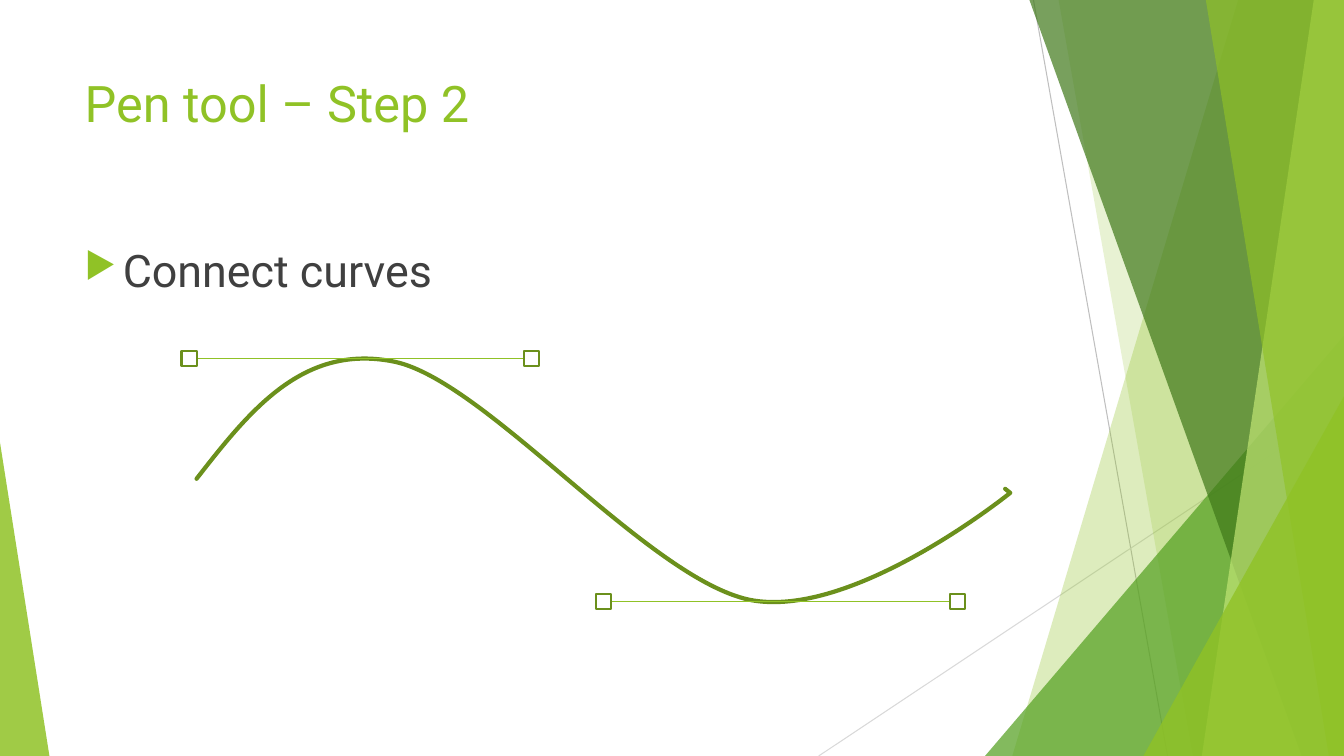
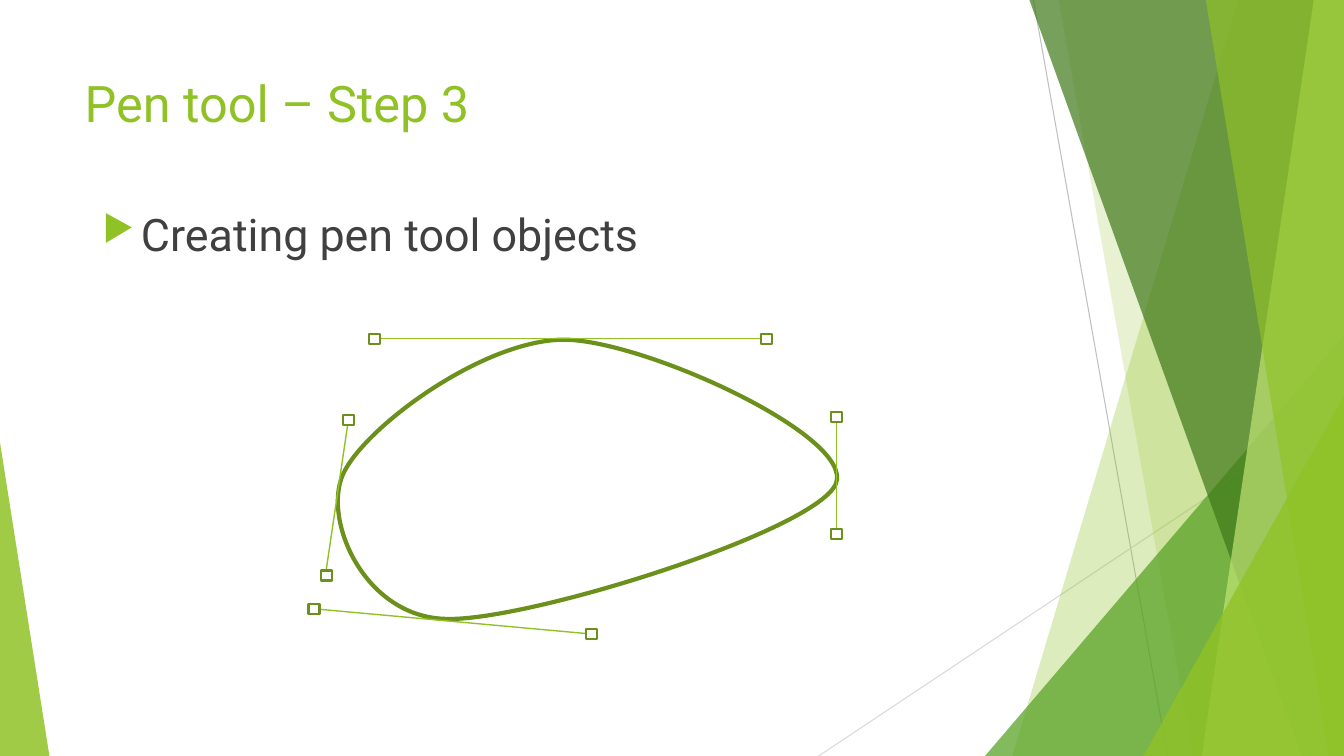
from dataclasses import dataclass
from typing import Optional

from pptx import Presentation
from pptx.dml.color import RGBColor
from pptx.enum.shapes import MSO_CONNECTOR as CONN, MSO_SHAPE as SHAPE
from pptx.enum.text import MSO_ANCHOR as ANCHOR, MSO_AUTO_SIZE as AUTO, PP_ALIGN as ALIGN
from pptx.oxml.ns import qn
from pptx.oxml.xmlchemy import OxmlElement
from pptx.util import Inches, Pt

W, H = 13.33, 7.5
FONT = "Roboto"
LIME, GREEN, FOREST, PALE = "90C226", "54A021", "3F7819", "C0E474"
OLIVE, WHITE, INK = "6B901C", "FFFFFF", "404040"
TOP, LEFT, BOTTOM, RIGHT = range(4)

Point = tuple[float, float]


@dataclass(frozen=True)
class Ray:
    start: Point
    end: Point
    color: str


@dataclass(frozen=True)
class Band:
    top_x: float
    bottom_x: float
    color: str
    alpha: int


@dataclass(frozen=True)
class Wedge:
    left: float
    top: float
    width: float
    apex: int
    color: str
    alpha: int


@dataclass(frozen=True)
class Handle:
    first: Point
    second: Point
    first_site: Optional[int] = None
    second_site: Optional[int] = None


@dataclass(frozen=True)
class Step:
    title: str
    body: str
    body_box: tuple[float, float, float, float]
    start: Point
    segments: tuple[tuple[Point, ...], ...]
    closed: bool
    knob: Point
    handles: tuple[Handle, ...]


RAYS = (
    Ray((10.25, 0), (11.58, H), "BFBFBF"),
    Ray((W, 4.03), (8.12, H), "D9D9D9"),
)
FACETS = (
    Band(12.28, 10.04, LIME, 30),
    Band(10.5, 11.83, LIME, 20),
    Wedge(9.77, 3.33, 3.56, 1, GREEN, 72),
    Band(10.21, 12.91, FOREST, 70),
    Band(13.03, 11.92, PALE, 70),
    Band(11.96, 13.18, LIME, 65),
    Wedge(11.34, 3.93, 1.99, 1, LIME, 80),
    Wedge(0, 4.39, 0.49, 0, LIME, 85),
)
STEPS = (
    Step(
        "Pen tool – Step 2", "Connect curves", (0.74, 2.36, 9.4, 4.24),
        (1.95, 4.75),
        (
            ((2.48, 4.07), (3.01, 3.4), (3.92, 3.59)),
            ((4.83, 3.79), (6.42, 5.73), (7.43, 5.95)),
            ((8.45, 6.16), (10.02, 4.89), (10.02, 4.89)),
            ((9.97, 4.85),),
        ),
        False, (0.15, 0.15),
        (
            Handle((1.8, 3.48), (5.2, 3.48), RIGHT, LEFT),
            Handle((5.91, 5.89), (9.42, 5.89), RIGHT, LEFT),
        ),
    ),
    Step(
        "Pen tool – Step 3", "Creating pen tool objects", (0.92, 2, 11.5, 0.63),
        (3.4, 4.71),
        (
            ((3.6, 4.25), (4.8, 3.36), (5.61, 3.37)),
            ((6.43, 3.39), (8.48, 4.34), (8.29, 4.8)),
            ((8.09, 5.27), (5.22, 6.17), (4.42, 6.14)),
            ((3.62, 6.12), (3.2, 5.17), (3.4, 4.71)),
        ),
        True, (0.11, 0.1),
        (
            Handle((3.66, 3.31), (7.55, 3.31), None, LEFT),
            Handle((8.24, 4.09), (8.24, 5.25), BOTTOM, TOP),
            Handle((3.06, 5.99), (5.81, 6.24)),
            Handle((3.18, 5.66), (3.4, 4.12), TOP, None),
        ),
    ),
)


def rgb(color: str) -> RGBColor:
    return RGBColor.from_string(color)


def emu(point: Point) -> tuple[int, int]:
    return Inches(point[0]), Inches(point[1])


def sub(parent, tag: str, **attrs):
    el = OxmlElement(tag)
    for name, value in attrs.items():
        el.set(name, str(value))
    parent.append(el)
    return el


def paint(s, fill: Optional[str], line: Optional[str] = None,
          width: float = 1, alpha: int = 100) -> None:
    s.shadow.inherit = False
    if fill:
        s.fill.solid()
        s.fill.fore_color.rgb = rgb(fill)
        if alpha < 100:
            clr = s.element.spPr.find(qn("a:solidFill")).find(qn("a:srgbClr"))
            sub(clr, "a:alpha", val=alpha * 1000)
    else:
        s.fill.background()
    if line:
        s.line.color.rgb = rgb(line)
        s.line.width = Pt(width)
    else:
        s.line.fill.background()


def add_line(slide, start: Point, end: Point, color: str, width: float):
    c = slide.shapes.add_connector(CONN.STRAIGHT, *emu(start), *emu(end))
    c.line.color.rgb = rgb(color)
    c.line.width = Pt(width)
    sub(c.element.spPr, "a:effectLst")
    return c


def add_facet(slide, facet: Band | Wedge):
    if isinstance(facet, Band):
        fb = slide.shapes.build_freeform(*emu((facet.top_x, 0)))
        fb.add_line_segments([emu(p) for p in ((W, 0), (W, H), (facet.bottom_x, H))])
        s = fb.convert_to_shape()
    else:
        s = slide.shapes.add_shape(
            SHAPE.ISOSCELES_TRIANGLE, *emu((facet.left, facet.top)),
            *emu((facet.width, H - facet.top)))
        s.adjustments[0] = facet.apex
    paint(s, facet.color, alpha=facet.alpha)
    return s


def add_backdrop(slide, layout) -> None:
    parts = [add_line(slide, r.start, r.end, r.color, 0.75) for r in RAYS]
    parts += [add_facet(slide, f) for f in FACETS]
    for i, s in enumerate(parts):
        layout.shapes.element.insert(2 + i, s.element)


def write(tf, text: str, size: int, color: str):
    tf.word_wrap = True
    tf.auto_size = AUTO.NONE
    tf.vertical_anchor = ANCHOR.TOP
    p = tf.paragraphs[0]
    p.alignment = ALIGN.LEFT
    r = p.add_run()
    r.text = text
    r.font.name = FONT
    r.font.size = Pt(size)
    r.font.color.rgb = rgb(color)
    return p


def add_title(slide, text: str) -> None:
    s = slide.shapes.title
    s.left, s.top = emu((0.74, 0.67))
    s.width, s.height = emu((9.4, 1.44))
    write(s.text_frame, text, 36, LIME)


def add_body(slide, step: Step) -> None:
    s = slide.shapes.add_textbox(*(Inches(v) for v in step.body_box))
    p = write(s.text_frame, step.body, 32, INK)
    p.space_before = Pt(10)
    pPr = p._p.get_or_add_pPr()
    pPr.set("marL", str(Inches(0.38)))
    pPr.set("indent", str(-Inches(0.38)))
    sub(sub(pPr, "a:buClr"), "a:srgbClr", val=LIME)
    sub(pPr, "a:buSzPct", val=80000)
    sub(pPr, "a:buChar", char="▶")


def add_curve(slide, step: Step) -> None:
    fb = slide.shapes.build_freeform(*emu(step.start))
    fb.add_line_segments([emu(seg[-1]) for seg in step.segments], close=step.closed)
    s = fb.convert_to_shape()
    paint(s, WHITE if step.closed else None, OLIVE, 3)
    s.element.spPr.find(qn("a:ln")).set("cap", "rnd")
    knots = list(s.element.spPr.iter(qn("a:lnTo")))
    for knot, seg in zip(knots, step.segments):
        if len(seg) == 3:
            bez = OxmlElement("a:cubicBezTo")
            for x, y in map(emu, seg):
                sub(bez, "a:pt", x=x - s.left, y=y - s.top)
            knot.getparent().replace(knot, bez)


def add_knob(slide, corner: Point, size: Point):
    s = slide.shapes.add_shape(SHAPE.RECTANGLE, *emu(corner), *emu(size))
    paint(s, WHITE, OLIVE, 1.5)
    return s


def add_handle(slide, handle: Handle, size: Point) -> None:
    ends = (handle.first, handle.second)
    start, end = ((x + size[0] / 2, y + size[1] / 2) for x, y in ends)
    c = add_line(slide, start, end, LIME, 1)
    first, second = (add_knob(slide, corner, size) for corner in ends)
    if handle.first_site is not None:
        c.begin_connect(first, handle.first_site)
    if handle.second_site is not None:
        c.end_connect(second, handle.second_site)


def main() -> None:
    prs = Presentation()
    prs.slide_width, prs.slide_height = emu((W, H))
    layout = prs.slide_layouts[5]
    for ph in list(layout.placeholders)[1:]:
        ph.element.getparent().remove(ph.element)
    for i, step in enumerate(STEPS):
        slide = prs.slides.add_slide(layout)
        if i == 0:
            add_backdrop(slide, layout)
        add_title(slide, step.title)
        add_body(slide, step)
        add_curve(slide, step)
        for handle in step.handles:
            add_handle(slide, handle, step.knob)
    prs.save("out.pptx")


if __name__ == "__main__":
    main()
